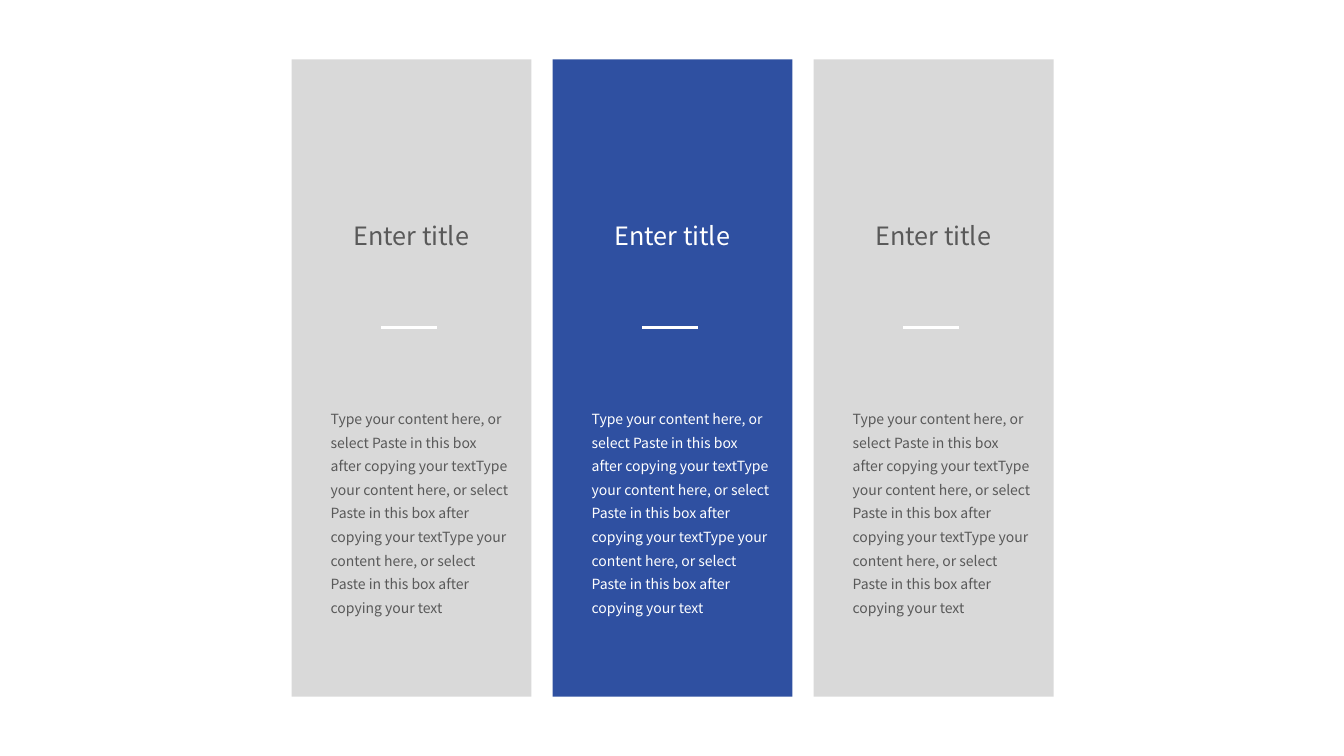
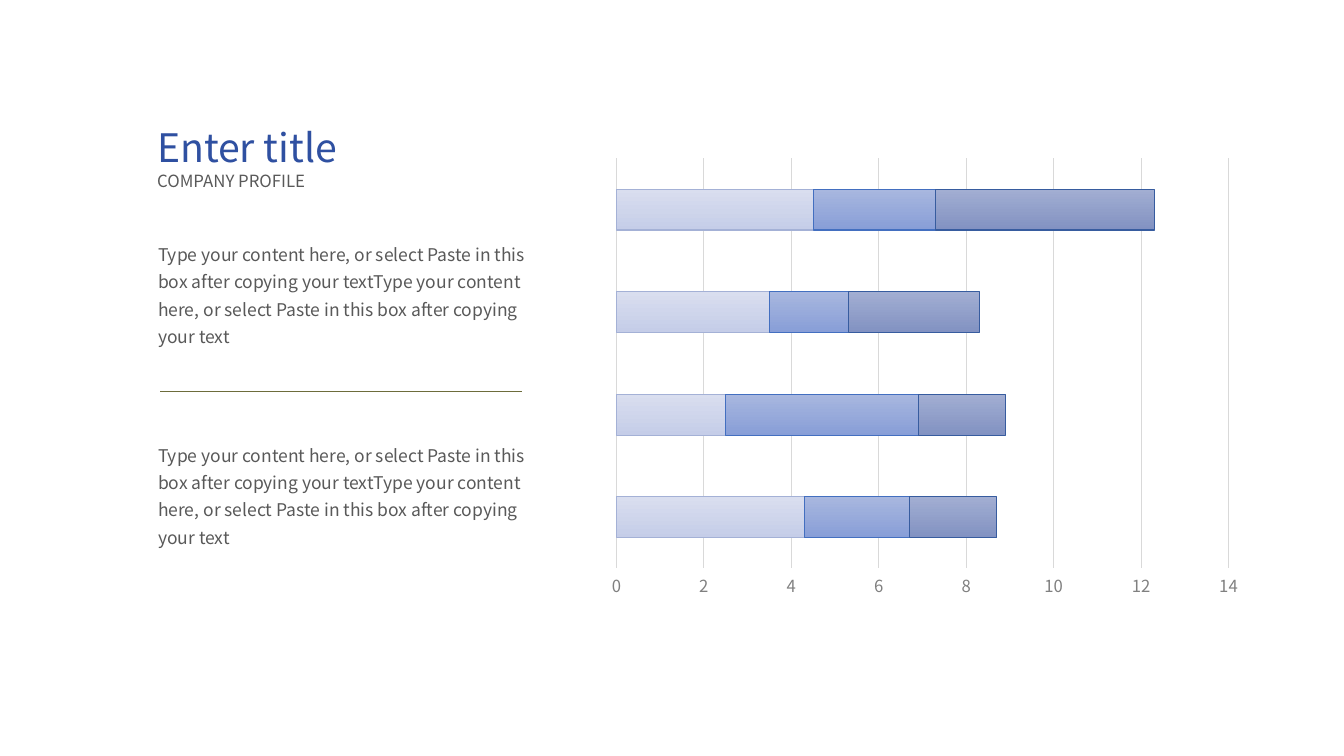
from lxml import etree
from pptx import Presentation
from pptx.chart.data import CategoryChartData
from pptx.dml.color import RGBColor
from pptx.enum.chart import XL_CHART_TYPE, XL_TICK_MARK
from pptx.enum.shapes import MSO_CONNECTOR, MSO_SHAPE
from pptx.enum.text import MSO_AUTO_SIZE, PP_ALIGN
from pptx.oxml.ns import qn
from pptx.util import Inches, Pt

BAR_STACKED = XL_CHART_TYPE.BAR_STACKED
NO_TICKS = XL_TICK_MARK.NONE
STRAIGHT = MSO_CONNECTOR.STRAIGHT
RECTANGLE = MSO_SHAPE.RECTANGLE
LEFT, CENTER = PP_ALIGN.LEFT, PP_ALIGN.CENTER

FONT = "Noto Sans CJK SC"
BLUE = RGBColor(0x2F, 0x50, 0xA1)
WHITE = RGBColor(0xFF, 0xFF, 0xFF)
LIGHT_GRAY = RGBColor(0xD9, 0xD9, 0xD9)
AXIS_GRAY = RGBColor(0x80, 0x80, 0x80)
TEXT_GRAY = RGBColor(0x59, 0x59, 0x59)
OLIVE = RGBColor(0x6D, 0x6C, 0x3B)

TITLE = "Enter title"
PROMPT = "Type your content here, or select Paste in this box after copying your text"

deck = Presentation()
deck.slide_width, deck.slide_height = Inches(13.33), Inches(7.5)
blank = deck.slide_layouts[6]

# The grid has 100 columns and 100 rows.
COLUMN = deck.slide_width / 100
ROW = deck.slide_height / 100


def add_text(page, left, top, width, height, text, size, color,
             align=LEFT, spacing=1.0, inset=True):
    """Add a wrapped text box; places are in grid columns and rows."""
    box = page.shapes.add_textbox(int(left * COLUMN), int(top * ROW),
                                  int(width * COLUMN), int(height * ROW))
    frame = box.text_frame
    frame.word_wrap = True
    frame.auto_size = MSO_AUTO_SIZE.SHAPE_TO_FIT_TEXT
    if not inset:
        frame.margin_left = frame.margin_right = 0
        frame.margin_top = frame.margin_bottom = 0
    para = frame.paragraphs[0]
    para.text = text
    para.alignment = align
    para.line_spacing = spacing
    para.font.name = FONT
    para.font.size = Pt(size)
    para.font.color.rgb = color


def add_rule(page, left, right, top, color, weight):
    """Add a level line; places are in grid columns and rows."""
    rule = page.shapes.add_connector(STRAIGHT, int(left * COLUMN), int(top * ROW),
                                     int(right * COLUMN), int(top * ROW))
    rule.line.color.rgb = color
    rule.line.width = Pt(weight)
    etree.SubElement(rule._element.spPr, qn("a:effectLst"))


# Slide 1: three panels
page = deck.slides.add_slide(blank)
PANEL_LEFT, PANEL_STEP = 21.7, 19.42
panels = [(LIGHT_GRAY, TEXT_GRAY), (BLUE, WHITE), (LIGHT_GRAY, TEXT_GRAY)]
for index, (fill_color, text_color) in enumerate(panels):
    left = PANEL_LEFT + index * PANEL_STEP
    panel = page.shapes.add_shape(RECTANGLE, int(left * COLUMN), int(7.87 * ROW),
                                  int(17.85 * COLUMN), int(84.27 * ROW))
    panel.shadow.inherit = False
    panel.fill.solid()
    panel.fill.fore_color.rgb = fill_color
    panel.line.fill.background()
    add_rule(page, left + 6.65, left + 10.78, 43.33, WHITE, 1.75)
    add_text(page, left + 3.2, 28.53, 11.4, 5.33, TITLE, 18, text_color, align=CENTER)
    add_text(page, left + 2.17, 52.8, 14.78, 29.6, PROMPT * 3, 10, text_color, spacing=1.4)

# Slide 2: text beside a stacked bar chart
page = deck.slides.add_slide(blank)
TEXT_LEFT = 11.7
add_text(page, TEXT_LEFT, 16.27, 14.4, 6.27, TITLE, 28, BLUE, inset=False)
add_text(page, TEXT_LEFT, 22.53, 16.27, 2.67, "COMPANY PROFILE", 12, TEXT_GRAY, inset=False)
for top in (31.47, 58):
    add_text(page, TEXT_LEFT + 0.07, top, 27.9, 14.53, PROMPT * 2, 12.5, TEXT_GRAY,
             spacing=1.3, inset=False)
add_rule(page, 11.92, 38.85, 51.73, OLIVE, 0.5)

# Values, then gradient top, gradient bottom and outline
series_rows = [
    ((4.3, 2.5, 3.5, 4.5), ("D9DEEF", "C5CDE8", "A4B1D6")),
    ((2.4, 4.4, 1.8, 2.8), ("A8B7DF", "889ED7", "436FC0")),
    ((2, 2, 3, 5), ("A2AED2", "8292C2", "375C9F")),
]
data = CategoryChartData()
data.categories = ["1", "2", "3", "4"]
for number, (values, _) in enumerate(series_rows, start=1):
    data.add_series(f"Series {number}", values)
chart = page.shapes.add_chart(BAR_STACKED, int(44.55 * COLUMN), int(19.73 * ROW),
                              int(48.53 * COLUMN), int(60.53 * ROW), data).chart
chart.has_legend = False
chart.has_title = False
chart.font.name = FONT
chart.font.size = Pt(10)
chart.category_axis.visible = False

axis = chart.value_axis
axis.minimum_scale, axis.maximum_scale, axis.major_unit = 0, 14, 2
axis.major_tick_mark = axis.minor_tick_mark = NO_TICKS
axis.format.line.fill.background()
axis.major_gridlines.format.line.color.rgb = LIGHT_GRAY
axis.major_gridlines.format.line.width = Pt(0.75)
axis.tick_labels.font.name = FONT
axis.tick_labels.font.size = Pt(11.9)
axis.tick_labels.font.color.rgb = AXIS_GRAY

plot = chart.plots[0]
plot.gap_width, plot.overlap = 150, 100
plot.vary_by_categories = False
for series, (_, colors) in zip(plot.series, series_rows):
    upper, lower, outline = map(RGBColor.from_string, colors)
    fill = series.format.fill
    fill.gradient()
    fill.gradient_angle = 270
    for stop, color in zip(fill.gradient_stops, (upper, lower)):
        stop.color.rgb = color
    series.format.line.color.rgb = outline
    series.format.line.width = Pt(0.75)

deck.save("out.pptx")
